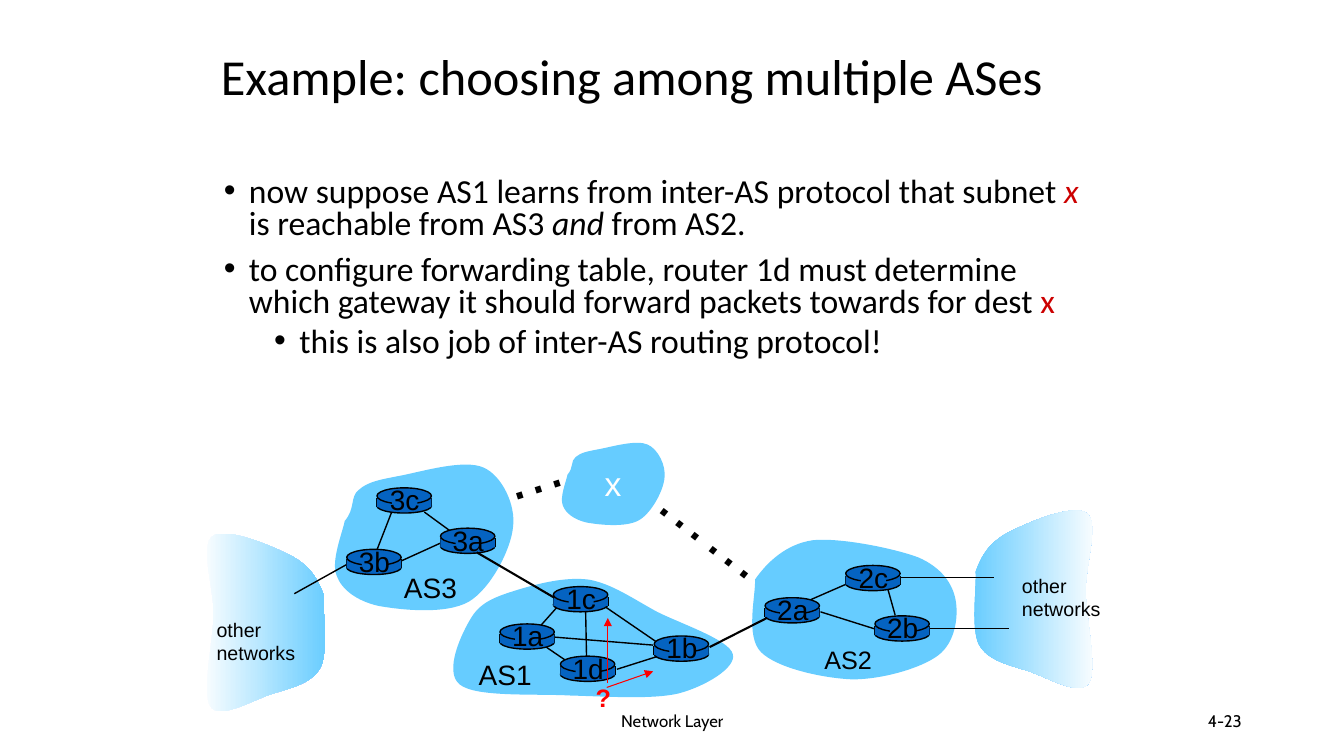
"""Build the slide on choosing among multiple autonomous systems."""
from lxml.etree import SubElement
from pptx import Presentation
from pptx.dml.color import RGBColor
from pptx.enum.shapes import MSO_CONNECTOR, MSO_SHAPE
from pptx.enum.text import MSO_ANCHOR, MSO_AUTO_SIZE, PP_ALIGN
from pptx.oxml.ns import qn
from pptx.util import Inches, Pt

COLOURS = {"black": "000000", "white": "FFFFFF", "cloud": "66CCFF",
           "router": "0563C1", "accent": "CC0000", "red": "FF0000"}

AS3 = [(3.42, 5.17), (3.53, 5.04), (3.47, 4.93), (3.56, 4.86), (3.65, 4.78),
       (3.76, 4.76), (3.97, 4.72), (4.18, 4.68), (4.61, 4.55), (4.8, 4.64),
       (4.98, 4.72), (5.12, 5.01), (5.09, 5.23), (5.07, 5.45), (4.87, 5.84),
       (4.65, 5.97), (4.42, 6.1), (3.97, 6.05), (3.75, 6.01), (3.54, 5.96),
       (3.39, 5.85), (3.34, 5.71), (3.28, 5.57), (3.4, 5.28), (3.42, 5.17)]
AS2 = [(7.49, 5.75), (7.6, 5.59), (7.79, 5.4), (8.06, 5.36), (8.33, 5.33),
       (8.87, 5.44), (9.11, 5.53), (9.34, 5.63), (9.45, 5.79), (9.48, 5.95),
       (9.51, 6.11), (9.48, 6.37), (9.31, 6.5), (9.14, 6.63), (8.75, 6.74),
       (8.46, 6.74), (8.17, 6.73), (7.71, 6.63), (7.55, 6.47), (7.39, 6.31),
       (7.5, 5.9), (7.49, 5.75)]
AS1 = [(4.68, 6.12), (4.78, 5.96), (4.95, 5.91), (5.14, 5.85), (5.34, 5.79),
       (5.61, 5.72), (5.84, 5.75), (6.07, 5.79), (6.28, 5.94), (6.52, 6.07),
       (6.76, 6.19), (7.24, 6.35), (7.27, 6.49), (7.31, 6.62), (7, 6.81),
       (6.73, 6.88), (6.47, 6.94), (6.03, 6.91), (5.66, 6.9), (5.3, 6.88),
       (4.72, 6.92), (4.56, 6.79), (4.4, 6.66), (4.58, 6.28), (4.68, 6.12)]
OTHER_RIGHT = [(9.68, 5.67), (9.74, 5.51), (9.81, 5.39), (9.99, 5.29),
               (10.18, 5.19), (10.65, 4.99), (10.78, 5.09), (10.91, 5.18),
               (10.77, 5.59), (10.77, 5.87), (10.78, 6.16), (10.89, 6.65),
               (10.8, 6.78), (10.71, 6.91), (10.39, 6.72), (10.21, 6.66),
               (10.03, 6.6), (9.8, 6.56), (9.71, 6.39), (9.63, 6.23),
               (9.69, 5.82), (9.68, 5.67)]
OTHER_LEFT = [(12.89 - x, y + 0.23) for x, y in OTHER_RIGHT]
SUBNET_X = [(5.55 + (x - 3.28) * 0.576, 4.36 + (y - 4.55) * 0.565) for x, y in AS3]

ROUTERS = {"3b": (3.44, 5.45), "3c": (3.74, 4.84), "3a": (4.37, 5.24),
           "1c": (5.49, 5.82), "1a": (4.96, 6.19), "1d": (5.56, 6.51),
           "1b": (6.49, 6.31), "2a": (7.59, 5.93), "2c": (8.39, 5.61),
           "2b": (8.68, 6.11)}
LINKS = [(3.97, 5.57, 4.41, 5.37), (4.47, 5.27, 4.21, 5.08),
         (3.89, 5.07, 3.73, 5.48), (3.44, 5.6, 2.92, 5.89),
         (5.53, 6.02, 5.37, 6.2), (5.81, 6.06, 5.82, 6.56),
         (5.99, 6.01, 6.53, 6.38), (6.53, 6.51, 6.12, 6.64),
         (6.48, 6.4, 5.49, 6.32), (5.39, 6.4, 5.61, 6.55),
         (7.95, 5.99, 8.43, 5.78), (8.14, 6.07, 8.68, 6.24),
         (8.81, 5.85, 8.88, 6.1)]
OUTSIDE_LINKS = [(8.92, 5.73, 9.86, 5.73), (9.2, 6.24, 10.01, 6.24)]
GATEWAY_LINKS = [(7.04, 6.42, 7.61, 6.13), (4.73, 5.48, 5.5, 5.93)]
CHOICES = [(6.02, 6.82, 6.48, 6.66), (6.03, 6.78, 6.03, 6.13)]

LABELS = [("AS3", (3.91, 5.61, 0.73, 0.43), 20, {}),
          ("AS2", (8.08, 6.34, 0.67, 0.4), 18, {}),
          ("AS1", (4.65, 6.47, 0.73, 0.43), 20, {}),
          ("other\nnetworks", (10.04, 5.64, 0.99, 0.57), 14, {}),
          ("other\nnetworks", (2.05, 6.08, 0.99, 0.57), 14, {}),
          ("x", (5.9, 4.54, 0.37, 0.5), 24, {"colour": "white"}),
          ("……", (6.41, 4.81, 1.42, 0.83), 44, {"rotation": 37.7}),
          ("…", (4.88, 4.24, 0.81, 0.83), 44, {"rotation": 342.3}),
          ("?", (5.81, 6.72, 0.35, 0.4), 18, {"colour": "red", "bold": True})]

BULLETS = [
    (0, [("now suppose AS1 learns from inter-AS protocol that subnet ", "black", False),
         ("x", "accent", True), (" is reachable from AS3 ", "black", False),
         ("and", "black", True), (" from AS2.", "black", False)]),
    (0, [("to configure forwarding table, router 1d must determine which gateway "
          "it should forward packets towards for dest ", "black", False),
         ("x", "accent", False)]),
    (1, [("this is also job of inter-AS routing protocol!", "black", False)])]


def rgb(name):
    return RGBColor.from_string(COLOURS[name])


def apply(target, values):
    for name, value in values.items():
        setattr(target, name, value)


def style_font(font, size, colour="black", name="Arial", bold=False, italic=False):
    apply(font, {"name": name, "size": Pt(size), "bold": bold, "italic": italic})
    font.color.rgb = rgb(colour)


def place(shape, at):
    apply(shape, dict(zip(("left", "top", "width", "height"), map(Inches, at))))


def add_label(shapes, text, at, size, align=PP_ALIGN.LEFT, rotation=0, wrap=False,
              **font):
    box = shapes.add_textbox(*map(Inches, at))
    fit = MSO_AUTO_SIZE.NONE if wrap else MSO_AUTO_SIZE.SHAPE_TO_FIT_TEXT
    apply(box.text_frame, {"text": text, "word_wrap": wrap, "auto_size": fit})
    if wrap:
        box.text_frame.vertical_anchor = MSO_ANCHOR.MIDDLE
    for para in box.text_frame.paragraphs:
        para.alignment = align
        for span in para.runs:
            style_font(span.font, size, **font)
    box.rotation = rotation


def add_line(shapes, ends, width=1, colour="black", arrow=False):
    line = shapes.add_connector(MSO_CONNECTOR.STRAIGHT, *map(Inches, ends))
    line.line.width = Pt(width)
    line.line.color.rgb = rgb(colour)
    properties = line._element.spPr
    if arrow:
        SubElement(properties.find(qn("a:ln")), qn("a:tailEnd"), type="triangle")
    SubElement(properties, qn("a:effectLst"))


def add_solid(shapes, kind, at, outlined):
    shape = shapes.add_shape(kind, *map(Inches, at))
    shape.shadow.inherit = False
    shape.fill.solid()
    shape.fill.fore_color.rgb = rgb("router")
    if outlined:
        shape.line.color.rgb = rgb("black")
        shape.line.width = Pt(1)
    else:
        shape.line.fill.background()


def add_router(page, name, left, top):
    shapes = page.shapes.add_group_shape().shapes
    add_solid(shapes, MSO_SHAPE.OVAL, (left, top + 0.11, 0.54, 0.14), True)
    for side in (left, left + 0.54):
        add_line(shapes, (side, top + 0.1, side, top + 0.19))
    add_solid(shapes, MSO_SHAPE.RECTANGLE, (left, top + 0.1, 0.54, 0.09), False)
    add_solid(shapes, MSO_SHAPE.OVAL, (left, top, 0.54, 0.16), True)
    add_solid(shapes, MSO_SHAPE.RECTANGLE, (left + 0.15, top + 0.02, 0.25, 0.21), False)
    add_label(shapes, name, (left + 0.02, top - 0.1, 0.51, 0.43), 20, PP_ALIGN.CENTER)


def bend_segments(shape):
    """Turn each three straight segments into one cubic curve."""
    outline = shape._element.spPr.find(".//" + qn("a:path"))
    segments = outline.findall(qn("a:lnTo"))
    for first in range(0, len(segments), 3):
        curve = SubElement(outline, qn("a:cubicBezTo"))
        for segment in segments[first:first + 3]:
            curve.append(segment[0])
            outline.remove(segment)
    outline.append(outline.find(qn("a:close")))


def add_cloud(page, points, fade=None):
    start, *rest = [(Inches(x), Inches(y)) for x, y in points]
    builder = page.shapes.build_freeform(*start)
    builder.add_line_segments(rest, close=True)
    cloud = builder.convert_to_shape()
    bend_segments(cloud)
    cloud.shadow.inherit = False
    cloud.line.fill.background()
    if fade:
        cloud.fill.gradient()
        cloud.fill.gradient_angle = 0
        for stop, colour, position in zip(cloud.fill.gradient_stops, fade, (0, 1)):
            stop.color.rgb = rgb(colour)
            stop.position = position
    else:
        cloud.fill.solid()
        cloud.fill.fore_color.rgb = rgb("cloud")


def fill_title(title):
    place(title, (2.09, 0.27, 9.59, 1.04))
    apply(title.text_frame, {"text": "Example: choosing among multiple ASes",
                             "vertical_anchor": MSO_ANCHOR.MIDDLE, "word_wrap": True,
                             "auto_size": MSO_AUTO_SIZE.NONE})
    para = title.text_frame.paragraphs[0]
    apply(para, {"alignment": PP_ALIGN.LEFT, "line_spacing": 0.9})
    style_font(para.runs[0].font, 36, name="Calibri")


def fill_body(body):
    place(body, (2.12, 1.71, 8.74, 3.01))
    frame = body.text_frame
    apply(frame, {"word_wrap": True, "auto_size": MSO_AUTO_SIZE.NONE})
    for index, (level, spans) in enumerate(BULLETS):
        para = frame.add_paragraph() if index else frame.paragraphs[0]
        properties = para._p.get_or_add_pPr()
        properties.set("marL", str(Inches(0.25 + 0.5 * level)))
        properties.set("indent", str(Inches(-0.25)))
        SubElement(properties, qn("a:buFont"), typeface="Arial")
        SubElement(properties, qn("a:buChar"), char="•")
        before = Pt(10 - 5 * level) if index else Pt(0)
        apply(para, {"level": level, "line_spacing": 0.8, "space_before": before})
        for text, colour, italic in spans:
            span = para.add_run()
            span.text = text
            style_font(span.font, 24, colour, "Calibri", italic=italic)


def main():
    deck = Presentation()
    apply(deck, {"slide_width": Inches(40 / 3), "slide_height": Inches(7.5)})
    page = deck.slides.add_slide(deck.slide_layouts[1])
    fill_title(page.shapes.title)
    fill_body(page.placeholders[1])
    for text, at, align in (("Network Layer", (4.42, 6.95, 4.5, 0.4), PP_ALIGN.CENTER),
                            ("4-23", (9.42, 6.95, 3, 0.4), PP_ALIGN.RIGHT)):
        add_label(page.shapes, text, at, 12, align, wrap=True, name="Cabin")
    add_cloud(page, OTHER_RIGHT, ("cloud", "white"))
    add_cloud(page, OTHER_LEFT, ("white", "cloud"))
    for points in (AS2, AS3, AS1, SUBNET_X):
        add_cloud(page, points)
    for ends in LINKS:
        add_line(page.shapes, ends)
    for ends in OUTSIDE_LINKS:
        add_line(page.shapes, ends, 0.75)
    for name, corner in ROUTERS.items():
        add_router(page, name, *corner)
    for ends in GATEWAY_LINKS:
        add_line(page.shapes, ends, 1.5)
    for ends in CHOICES:
        add_line(page.shapes, ends, 0.75, "red", arrow=True)
    for text, at, size, look in LABELS:
        add_label(page.shapes, text, at, size, **look)
    deck.save("out.pptx")


if __name__ == "__main__":
    main()
